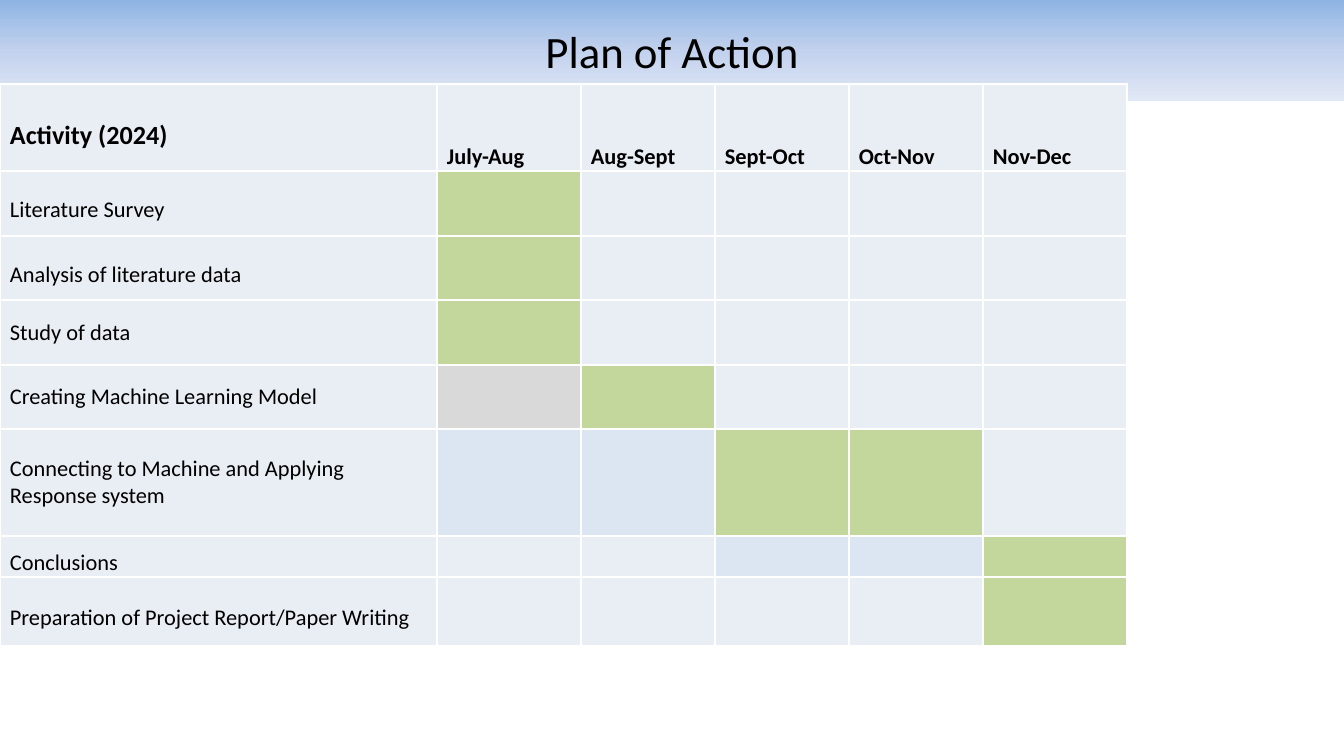
from lxml import etree
from pptx import Presentation
from pptx import util as u
from pptx.dml.color import RGBColor
from pptx.enum import shapes, text
from pptx.oxml.ns import qn

PX = 914400 / 134.4
THEME = {
    "font": "Calibri", "text": "000000", "border": "FFFFFF",
    "band": [(0, "8EB4E3"), (50, "C2D1ED"), (100, "E1E8F5")],
    "plain": "E9EDF4", "active": "C3D69B", "grey": "D9D9D9", "pale": "DCE6F2",
    "title": 24, "heading": 14, "body": 12,
}


def px(length):
    return u.Emu(round(length * PX))


def style_text(paragraph, size, bold=False):
    for run in paragraph.runs:
        run.font.name = THEME["font"]
        run.font.size = u.Pt(size)
        run.font.bold = bold
        run.font.color.rgb = RGBColor.from_string(THEME["text"])


presentation = Presentation()
presentation.slide_width, presentation.slide_height = px(1344), px(756)
slide = presentation.slides.add_slide(presentation.slide_layouts[6])

title = slide.shapes.add_shape(shapes.MSO_SHAPE.RECTANGLE, 0, 0, px(1344), px(101))
title.shadow.inherit = False
title.line.fill.background()
title.fill.gradient()
title.fill.gradient_angle = 270
stops = title._element.spPr.find(qn("a:gradFill")).find(qn("a:gsLst"))
for stop in list(stops):
    stops.remove(stop)
for position, color in THEME["band"]:
    stop = etree.SubElement(stops, qn("a:gs"), pos=str(position * 1000))
    etree.SubElement(stop, qn("a:srgbClr"), val=color)
title.text_frame.text = "Plan of Action"
title.text_frame.vertical_anchor = text.MSO_ANCHOR.MIDDLE
title.text_frame.paragraphs[0].alignment = text.PP_ALIGN.CENTER
style_text(title.text_frame.paragraphs[0], THEME["title"])

months = ["July-Aug", "Aug-Sept", "Sept-Oct", "Oct-Nov", "Nov-Dec"]
plan = [
    ("Literature Survey", {1: "active"}),
    ("Analysis of literature data", {1: "active"}),
    ("Study of data", {1: "active"}),
    ("Creating Machine Learning Model", {1: "grey", 2: "active"}),
    ("Connecting to Machine and Applying Response system",
     {1: "pale", 2: "pale", 3: "active", 4: "active"}),
    ("Conclusions", {3: "pale", 4: "pale", 5: "active"}),
    ("Preparation of Project Report/Paper Writing", {5: "active"}),
]
single_spaced_rows = (3, 4, 5)
column_widths = [437, 144, 134, 134, 134, 144]
row_heights = [87, 65, 64, 65, 64, 107, 41, 69]

rows = [(["Activity (2024)"] + months, {})]
rows += [([activity] + [""] * len(months), marks) for activity, marks in plan]

table = slide.shapes.add_table(
    len(rows), len(column_widths), 0, px(84),
    px(sum(column_widths)), px(sum(row_heights))).table
table.first_row = False
table.horz_banding = False
for column, width in zip(table.columns, column_widths):
    column.width = px(width)
for row, height in zip(table.rows, row_heights):
    row.height = px(height)

for row_index, (labels, marks) in enumerate(rows):
    for column_index, label in enumerate(labels):
        cell = table.cell(row_index, column_index)
        cell.margin_left = cell.margin_right = px(10)
        cell.margin_top = cell.margin_bottom = 0
        is_month = row_index == 0 and column_index > 0
        cell.vertical_anchor = text.MSO_ANCHOR.BOTTOM if is_month else text.MSO_ANCHOR.MIDDLE

        paragraph = cell.text_frame.paragraphs[0]
        if label:
            paragraph.text = label
            if row_index not in single_spaced_rows:
                paragraph.alignment = text.PP_ALIGN.JUSTIFY
                paragraph.line_spacing = 1.5
            is_corner = row_index == 0 and column_index == 0
            style_text(paragraph, THEME["heading" if is_corner else "body"], row_index == 0)
        else:
            etree.SubElement(paragraph._p, qn("a:endParaRPr"), sz=str(THEME["body"] * 100))

        properties = cell._tc.get_or_add_tcPr()
        for side in ("a:lnL", "a:lnR", "a:lnT", "a:lnB"):
            border = etree.SubElement(properties, qn(side), w=str(u.Pt(1)))
            fill = etree.SubElement(border, qn("a:solidFill"))
            etree.SubElement(fill, qn("a:srgbClr"), val=THEME["border"])
        cell.fill.solid()
        cell.fill.fore_color.rgb = RGBColor.from_string(THEME[marks.get(column_index, "plain")])

presentation.save("out.pptx")
